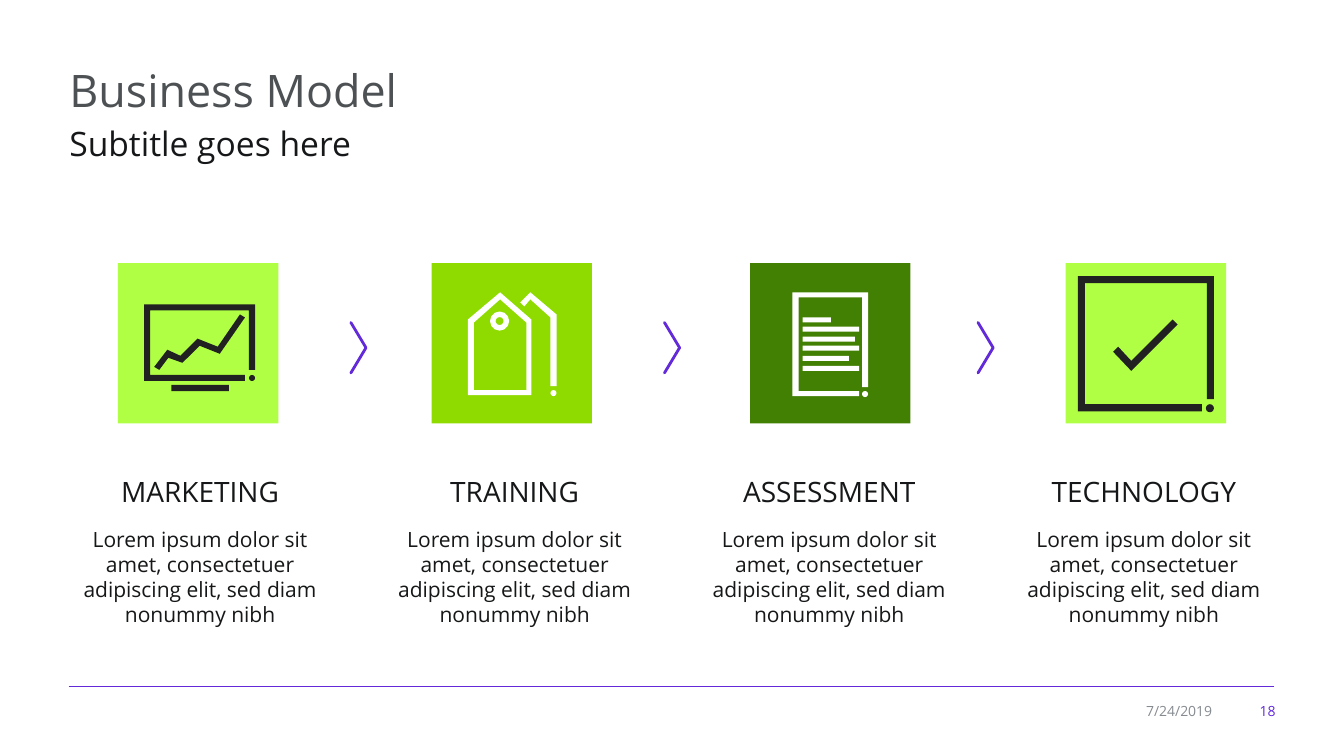
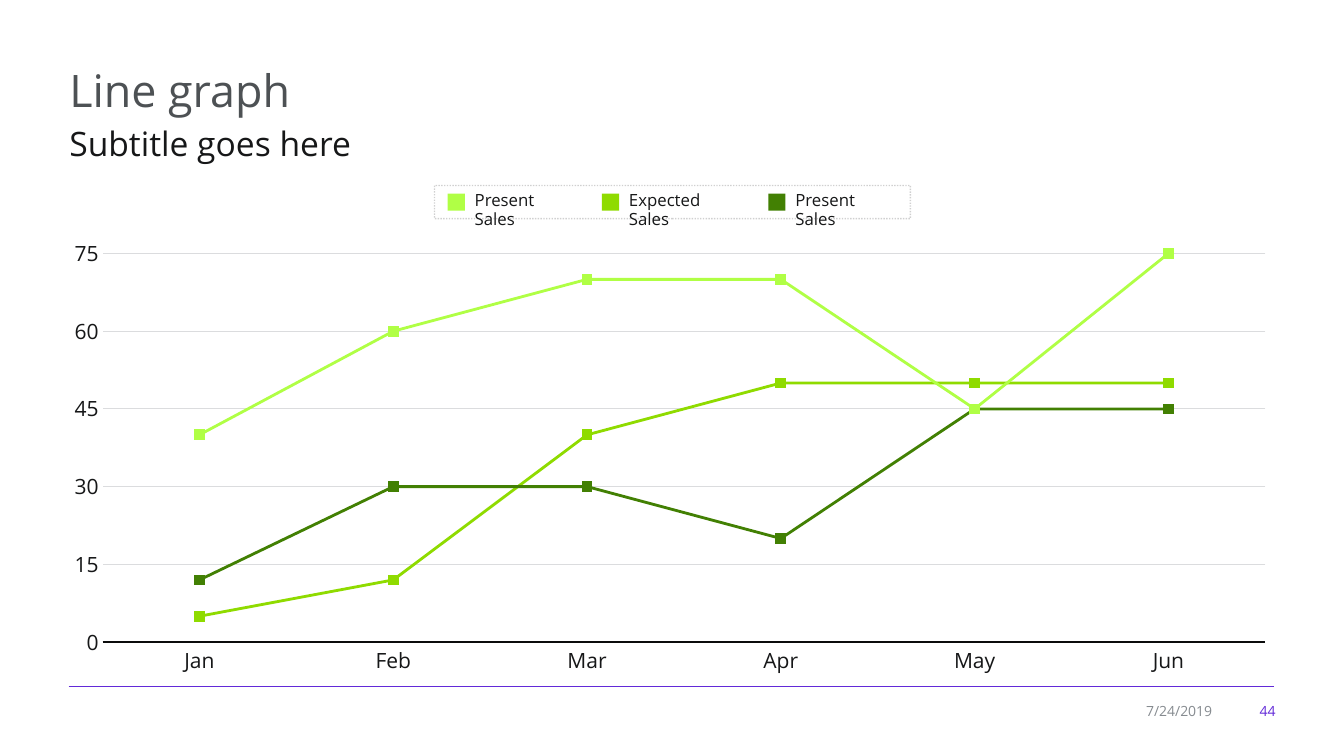
from dataclasses import dataclass

from lxml import etree
from pptx import Presentation
from pptx import util as u
from pptx.chart.data import CategoryChartData
from pptx.dml.color import RGBColor
from pptx.enum import chart as ch, dml, shapes, text
from pptx.oxml import parse_xml
from pptx.oxml.ns import nsdecls, qn

PX = 9144  # EMU per px, 100 px to the inch


@dataclass(frozen=True)
class Theme:
    font: str = "Open Sans"
    ink: str = "161718"
    title: str = "4D5154"
    accent: str = "622AD8"
    muted: str = "868B90"
    axis: str = "0B0C0C"
    grid: str = "DBDCDE"
    icon: str = "212121"
    white: str = "FFFFFF"
    lime: str = "B0FF45"
    green: str = "8FDB00"
    forest: str = "428003"
    title_size: int = 32
    subtitle_size: int = 24
    heading_size: int = 20
    body_size: int = 15
    legend_size: int = 12
    footer_size: int = 10


T = Theme()
ALIGN = text.PP_ALIGN
DATE = "7/24/2019"
LOREM = "Lorem ipsum dolor sit amet, consectetuer adipiscing elit, sed diam nonummy nibh"


def rgb(value):
    return RGBColor.from_string(value)


def px(*lengths):
    return [u.Emu(length * PX) for length in lengths]


# Basic elements
def add_text(slide, box, words, size, color=T.ink, align=ALIGN.LEFT,
             anchor=text.MSO_ANCHOR.TOP, spacing=None):
    frame = slide.shapes.add_textbox(*px(*box)).text_frame
    frame.word_wrap = True
    frame.vertical_anchor = anchor
    paragraph = frame.paragraphs[0]
    paragraph.alignment = align
    if spacing:
        paragraph.line_spacing = spacing
    run = paragraph.add_run()
    run.text = words
    style_font(run.font, size, color)


def style_font(font, size, color=T.ink):
    font.name = T.font
    font.size = u.Pt(size)
    font.color.rgb = rgb(color)


def paint(shape, color):
    shape.shadow.inherit = False
    shape.fill.solid()
    shape.fill.fore_color.rgb = rgb(color)
    shape.line.fill.background()


def add_preset(slide, kind, box, color):
    shape = slide.shapes.add_shape(kind, *px(*box))
    paint(shape, color)
    return shape


def add_outline(slide, left, top, contours, closed=True):
    builder = None
    for contour in contours:
        start, *rest = [(left + x, top + y) for x, y in contour]
        if builder is None:
            builder = slide.shapes.build_freeform(*start, scale=PX)
        else:
            builder.move_to(*start)
        builder.add_line_segments(rest, close=closed)
    shape = builder.convert_to_shape()
    shape.shadow.inherit = False
    return shape


def rect(left, top, width, height):
    right, bottom = left + width, top + height
    return [(left, top), (right, top), (right, bottom), (left, bottom)]


# Title, subtitle, rule and footer of every slide
def add_base_slide(prs, title, number):
    slide = prs.slides.add_slide(prs.slide_layouts[6])
    rule = slide.shapes.add_connector(shapes.MSO_CONNECTOR.STRAIGHT, *px(68, 681, 1264, 681))
    rule.line.color.rgb = rgb(T.accent)
    rule.line.width = u.Pt(0.75)
    etree.SubElement(rule.element.spPr, qn("a:effectLst"))
    middle = text.MSO_ANCHOR.MIDDLE
    add_text(slide, (59, 56, 1216, 66), title, T.title_size, T.title, anchor=middle)
    add_text(slide, (59, 117, 1203, 54), "Subtitle goes here", T.subtitle_size)
    add_text(slide, (1224, 692, 51, 26), number, T.footer_size, T.accent, ALIGN.RIGHT, middle)
    add_text(slide, (1117, 692, 95, 26), DATE, T.footer_size, T.muted, ALIGN.RIGHT, middle)
    return slide


# Icons: contours and corner dot (left, top, size), relative to the tile
MONITOR = [
    [(32, 111), (126, 111), (126, 117), (26, 117), (26, 41), (136, 41),
     (136, 106), (130, 106), (130, 47), (32, 47)],
    rect(53, 121, 57, 6),
    [(79, 75), (62, 92), (49, 86), (36, 103), (41, 106), (50, 94),
     (64, 99), (81, 82), (101, 90), (126, 54), (121, 51), (99, 83)],
]
TAGS = [
    [(36, 56), (36, 131), (99, 131), (99, 56), (68, 29)],
    [(94, 126), (42, 126), (42, 59), (68, 36), (94, 59)],
    [(118, 122), (118, 54), (98, 36), (92, 43), (88, 39), (98, 29), (124, 51), (124, 122)],
]
TAG_HOLE = (58, 48, 19)
DOCUMENT = [
    [(117, 29), (117, 123), (111, 123), (111, 34), (48, 34), (48, 127),
     (108, 127), (108, 132), (42, 132), (42, 29)],
    *[rect(52, 54 + row * 48 // 5, width, 5)
      for row, width in enumerate((28, 56, 52, 56, 46, 56))],
]
CHECKBOX = [
    [(19, 140), (135, 140), (135, 147), (12, 147), (12, 13), (147, 13),
     (147, 135), (140, 135), (140, 20), (19, 20)],
    [(52, 83), (47, 88), (65, 107), (111, 61), (106, 56), (65, 97)],
]

# Heading, tile left, tile colour, icon colour, contours, dot, ring
STEPS = [
    ("MARKETING", 117, T.lime, T.icon, MONITOR, (130, 111, 6), None),
    ("TRAINING", 428, T.green, T.white, TAGS, (118, 126, 6), TAG_HOLE),
    ("ASSESSMENT", 744, T.forest, T.white, DOCUMENT, (111, 127, 6), None),
    ("TECHNOLOGY", 1057, T.lime, T.icon, CHECKBOX, (139, 140, 8), None),
]
TILE_TOP, TILE_SIZE = 261, 159
CAPTION_LEFT, CAPTION_PITCH, CAPTION_WIDTH = 63, 312, 271
CHEVRON_LEFT, CHEVRON_PITCH = 348, 311


def add_icon_tile(slide, left, tile_color, icon_color, contours, dot, ring):
    add_preset(slide, shapes.MSO_SHAPE.RECTANGLE,
               (left, TILE_TOP, TILE_SIZE, TILE_SIZE), tile_color)
    paint(add_outline(slide, left, TILE_TOP, contours), icon_color)
    for kind, circle in ((shapes.MSO_SHAPE.OVAL, dot), (shapes.MSO_SHAPE.DONUT, ring)):
        if circle:
            x, y, size = circle
            disc = add_preset(slide, kind, (left + x, TILE_TOP + y, size, size), icon_color)
            if kind == shapes.MSO_SHAPE.DONUT:
                disc.adjustments[0] = 0.29


def add_chevron(slide, left):
    chevron = add_outline(slide, left, 320, [[(0, 0), (15, 25), (0, 50)]], closed=False)
    chevron.fill.background()
    chevron.line.color.rgb = rgb(T.accent)
    chevron.line.width = u.Pt(2)
    chevron.element.spPr.find(qn("a:ln")).set("cap", "rnd")


def build_business_model(prs):
    slide = add_base_slide(prs, "Business Model", "18")
    for index, (heading, *tile) in enumerate(STEPS):
        left = CAPTION_LEFT + index * CAPTION_PITCH
        add_text(slide, (left, 466, CAPTION_WIDTH, 44), heading, T.heading_size,
                 align=ALIGN.CENTER)
        add_text(slide, (left, 517, CAPTION_WIDTH, 125), LOREM, T.body_size,
                 align=ALIGN.CENTER)
        add_icon_tile(slide, *tile)
    for index in range(len(STEPS) - 1):
        add_chevron(slide, CHEVRON_LEFT + index * CHEVRON_PITCH)


# Line chart and its legend
MONTHS = ["Jan", "Feb", "Mar", "Apr", "May", "Jun"]
SALES = [
    ("Series 1", (5, 12, 40, 50, 50, 50), T.green),
    ("Series 2", (12, 30, 30, 20, 45, 45), T.forest),
    ("Series 3", (40, 60, 70, 70, 45, 75), T.lime),
]
LEGEND = [
    ("Present Sales", 444, T.lime),
    ("Expected Sales", 597, T.green),
    ("Present Sales", 762, T.forest),
]
PLOT_LAYOUT = {"x": 0.042, "y": 0.05, "w": 0.937, "h": 0.857}


def place_plot(chart):
    edges = "".join(f'<c:{edge}Mode val="edge"/>' for edge in "xy")
    sizes = "".join(f'<c:{key} val="{value}"/>' for key, value in PLOT_LAYOUT.items())
    plot_area = chart.element.find(".//" + qn("c:plotArea"))
    for layout in plot_area.findall(qn("c:layout")):
        plot_area.remove(layout)
    plot_area.insert(0, parse_xml(
        f'<c:layout {nsdecls("c")}><c:manualLayout><c:layoutTarget val="inner"/>'
        f'{edges}{sizes}</c:manualLayout></c:layout>'))


def style_axes(chart):
    months, values = chart.category_axis, chart.value_axis
    for axis in (months, values):
        axis.major_tick_mark = axis.minor_tick_mark = ch.XL_TICK_MARK.NONE
        style_font(axis.tick_labels.font, T.body_size)
    months.format.line.color.rgb = rgb(T.axis)
    months.format.line.width = u.Pt(1)
    values.format.line.fill.background()
    values.minimum_scale, values.maximum_scale, values.major_unit = 0, 75, 15
    values.has_major_gridlines = True
    grid = values.major_gridlines.format.line
    grid.color.rgb = rgb(T.grid)
    grid.width = u.Pt(0.75)


def add_sales_chart(slide):
    data = CategoryChartData()
    data.categories = MONTHS
    for name, values, _ in SALES:
        data.add_series(name, values)
    chart = slide.shapes.add_chart(ch.XL_CHART_TYPE.LINE_MARKERS,
                                   *px(50, 229, 1231, 450), data).chart
    chart.has_legend = chart.has_title = False
    style_font(chart.font, T.footer_size)
    plot = chart.plots[0]
    plot.vary_by_categories = False
    for series, (_, _, color) in zip(plot.series, SALES):
        series.smooth = False
        series.format.line.color.rgb = rgb(color)
        series.format.line.width = u.Pt(2)
        marker = series.marker
        marker.style, marker.size = ch.XL_MARKER_STYLE.SQUARE, 7
        marker.format.fill.solid()
        marker.format.fill.fore_color.rgb = rgb(color)
        marker.format.line.color.rgb = rgb(color)
    style_axes(chart)
    place_plot(chart)


def add_legend(slide):
    for label, left, color in LEGEND:
        add_preset(slide, shapes.MSO_SHAPE.RECTANGLE, (left, 192, 17, 17), color)
        add_text(slide, (left + 17, 186, 100, 30), label, T.legend_size, spacing=0.9)
    border = slide.shapes.add_shape(shapes.MSO_SHAPE.RECTANGLE, *px(431, 184, 472, 33))
    border.shadow.inherit = False
    border.fill.background()
    border.line.color.rgb = rgb(T.ink)
    border.line.width = u.Pt(1)
    border.line.dash_style = dml.MSO_LINE.ROUND_DOT
    ink = border.element.spPr.find(qn("a:ln")).find(".//" + qn("a:srgbClr"))
    etree.SubElement(ink, qn("a:alpha")).set("val", "20000")


def build_line_graph(prs):
    slide = add_base_slide(prs, "Line graph", "44")
    add_sales_chart(slide)
    add_legend(slide)


def main():
    prs = Presentation()
    prs.slide_width, prs.slide_height = px(1333, 750)
    build_business_model(prs)
    build_line_graph(prs)
    prs.save("out.pptx")


if __name__ == "__main__":
    main()
